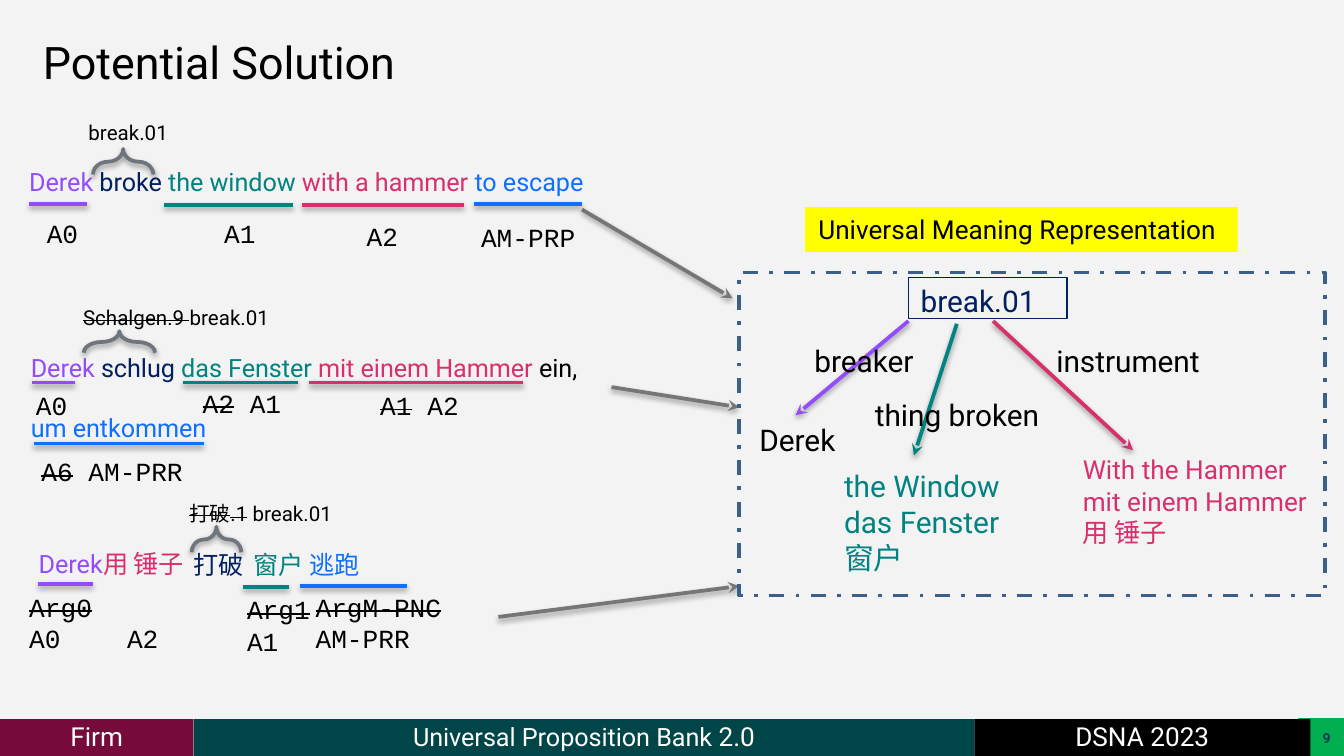
from lxml import etree
from pptx import Presentation
from pptx.dml.color import RGBColor
from pptx.enum import dml, shapes, text
from pptx.oxml.ns import qn
from pptx.util import Pt

HUES = dict(back="F3F3F3", black="000000", white="FFFFFF", navy="002060",
            violet="924CFC", teal="008381", pink="D7306D", blue="0F6FFF",
            gray="767676", brace="6E757C", frame="3A5F8B", yellow="FFFF00",
            green="00B050", wine="760A3A", deep="004548", ink="0F3A54")
WIDE, HIGH = 720, 405
FOOT = 385.2

# left, right, fill, runs
FOOTER = [
    (0, 103.7, "wine", [("Firm", 14)]),
    (103.7, 522, "deep", [("Universal Proposition Bank ", 13.5), ("2.0", 14)]),
    (522, 702, "black", [("DSNA 2023", 14)]),
]
# left, top, width, height, paragraphs of (text, colour, struck)
WORDS = [
    (8.6, 85.7, 335, 24, [[("Derek ", "violet"), ("broke ", "navy"),
     ("the window ", "teal"), ("with a hammer ", "pink"), ("to escape", "blue")]]),
    (9.4, 185, 326, 56, [[("Derek ", "violet"), ("schlug ", "navy"),
     ("das Fenster ", "teal"), ("mit einem Hammer ", "pink"), ("ein,", "black")],
     [("um entkommen", "blue")]]),
    (13.7, 290.2, 52, 24, [[("Derek", "violet")]]),
    (48.2, 290.2, 60, 24, [[("用 锤子", "pink")]]),
    (96.5, 290.9, 43, 24, [[("打破", "navy")]]),
    (128.9, 290.9, 106, 24, [[("窗户 ", "teal"), ("逃跑", "blue")]]),
]
SENSES = [
    (40.3, 60.5, 60, 21, [[("break.01", "black")]]),
    (37.4, 159.8, 123, 21, [[("Schalgen.9 ", "black", True), ("break.01", "black")]]),
    (94.3, 265, 94, 21, [[("打破.1", "black", True), (" break.01", "black")]]),
]
# left, top, width, old role, new role
ROLES = [
    (18, 113, 33, "", "A0"), (113, 113, 33, "", "A1"),
    (189.4, 114.5, 33, "", "A2"), (250.6, 115.2, 68, "", "AM-PRP"),
    (12.2, 205, 33, "", "A0"), (101.5, 203.8, 80, "A2", " A1"),
    (196.6, 205, 60, "A1", " A2"), (15.1, 240.5, 113, "A6", " AM-PRR"),
    (61, 330, 33, "", "A2"),
]
STACKS = [
    (8.6, 313.2, 50, "Arg0", "A0"), (125.3, 314.6, 50, "Arg1", "A1"),
    (162, 313.2, 94, "ArgM-PNC", "AM-PRR"),
]
# left, right, height on slide, colour
RULES = [
    (15.8, 46.8, 109.5, "violet"), (87.8, 157, 110, "teal"),
    (162, 248.4, 110, "pink"), (254.2, 311.8, 109.5, "blue"),
    (17.3, 40.3, 205, "violet"), (97.9, 159.8, 205, "teal"),
    (165.6, 280, 205, "pink"), (18, 109.4, 237.6, "blue"),
    (20.2, 49.7, 313, "violet"), (130.3, 154.8, 314.6, "teal"),
    (160.6, 218.2, 314, "blue"),
]
# centre x, centre y, span, depth
BRACES = [(66, 86.6, 32.4, 13.7), (64, 183.2, 38.2, 11.5), (116, 289, 26.6, 13.7)]
ARROWS = [
    (486.7, 172, 426.2, 222.5, "violet"), (512.6, 173.5, 489.6, 244, "teal"),
    (532, 172, 607, 241.2, "pink"), (311.8, 112.3, 392.4, 159.8, "gray"),
    (327.6, 207.4, 396, 218.2, "gray"), (267, 330.5, 396, 314, "gray"),
]
# left, top, width, size, colour, lines
GRAPH = [
    (400.3, 223.2, 62, 16, "black", ["Derek"]),
    (429.8, 180.7, 72, 16, "black", ["breaker"]),
    (462.2, 209.5, 108, 16, "black", ["thing broken"]),
    (559.4, 180.7, 121, 16, "black", ["instrument"]),
    (445.7, 247.7, 116, 16, "teal", ["the Window", "das Fenster", "窗户"]),
    (573, 239.5, 138, 14, "pink", ["With the Hammer", "mit einem Hammer", "用 锤子"]),
]

deck = Presentation()
deck.slide_width, deck.slide_height = Pt(WIDE), Pt(HIGH)
page = deck.slides.add_slide(deck.slide_layouts[6])
KIND = shapes.MSO_SHAPE


def hue(name):
    return RGBColor.from_string(HUES[name])


page.background.fill.solid()
page.background.fill.fore_color.rgb = hue("back")


def shade(item, soft=True):
    """Set the effect list: a soft drop shadow or none."""
    props = item._element.spPr
    for old in props.findall(qn("a:effectLst")):
        props.remove(old)
    fx = etree.SubElement(props, qn("a:effectLst"))
    if soft:
        drop = etree.SubElement(fx, qn("a:outerShdw"), blurRad=str(Pt(3.1)),
                                dist=str(Pt(1.6)), dir="5400000", rotWithShape="0")
        tint = etree.SubElement(drop, qn("a:srgbClr"), val=HUES["black"])
        etree.SubElement(tint, qn("a:alpha"), val="38000")


def box(x, y, w, h, fill=None, line=None, wide=0.75, kind=KIND.RECTANGLE):
    item = page.shapes.add_shape(kind, Pt(x), Pt(y), Pt(w), Pt(h))
    item.shadow.inherit = False
    if fill:
        item.fill.solid()
        item.fill.fore_color.rgb = hue(fill)
    else:
        item.fill.background()
    if line:
        item.line.color.rgb = hue(line)
        item.line.width = Pt(wide)
    else:
        item.line.fill.background()
    return item


def link(x1, y1, x2, y2, tone, head=False):
    item = page.shapes.add_connector(shapes.MSO_CONNECTOR.STRAIGHT,
                                     Pt(x1), Pt(y1), Pt(x2), Pt(y2))
    item.line.color.rgb = hue(tone)
    item.line.width = Pt(2)
    if head:
        etree.SubElement(item.line._get_or_add_ln(), qn("a:tailEnd"), type="stealth")
    shade(item)


def write(item, paras, size=14, font="Roboto", bold=False, align="LEFT",
          mid=False, pad=(7.2, 3.6), gap=0, lead=None):
    """Fill a shape with paragraphs of (text, colour, struck, size) runs."""
    body = item.text_frame
    body.word_wrap = True
    body.margin_left = body.margin_right = Pt(pad[0])
    body.margin_top = body.margin_bottom = Pt(pad[1])
    body.vertical_anchor = text.MSO_ANCHOR.MIDDLE if mid else text.MSO_ANCHOR.TOP
    for i, runs in enumerate(paras):
        para = body.add_paragraph() if i else body.paragraphs[0]
        para.alignment = text.PP_ALIGN[align]
        if i and gap:
            para.space_before = Pt(gap)
        if lead:
            para.line_spacing = lead
        for words, tone, *rest in runs:
            run = para.add_run()
            run.text = words
            run.font.name, run.font.bold = font, bold
            run.font.size = Pt(rest[1] if len(rest) > 1 else size)
            run.font.color.rgb = hue(tone)
            if rest and rest[0]:
                run._r.get_or_add_rPr().set("strike", "sngStrike")


def note(x, y, w, h, paras, **form):
    write(page.shapes.add_textbox(Pt(x), Pt(y), Pt(w), Pt(h)), paras, **form)


# Footer and title
write(box(695.5, FOOT, WIDE - 695.5, HIGH - FOOT, "green", "green"),
      [[("9", "ink")]], size=7.5, bold=True, align="RIGHT", mid=True)
for left, right, fill, runs in FOOTER:
    write(box(left, FOOT, right - left, HIGH - FOOT, fill),
          [[(words, "white", False, size) for words, size in runs]],
          align="CENTER", mid=True, pad=(2.9, 2.9), lead=0.9)
note(23, 21.6, 395, 63, [[("Potential Solution", "black")]],
     size=24, pad=(0, 0), lead=0.9)

# Meaning graph
write(box(431.3, 111, 231.8, 24, "yellow"),
      [[("Universal Meaning Representation", "black")]])
write(box(486.7, 148.5, 85, 22.3, line="navy"), [[("break.01", "navy")]],
      size=16, pad=(6.5, 2.9))
for arrow in ARROWS:
    link(*arrow, head=True)
frame = box(396, 146, 314, 173, line="frame", wide=2)
frame.line.dash_style = dml.MSO_LINE.DASH_DOT
for x, y, w, size, tone, lines in GRAPH:
    note(x, y, w, 22 * len(lines), [[(line, tone)] for line in lines],
         size=size, pad=(6.5, 2.9) if size == 16 else (7.2, 3.6))

# Sentences
for place in WORDS:
    note(*place, size=13.5, gap=16)
for x1, x2, y, tone in RULES:
    link(x1, y, x2, y, tone)
for x, y, span, deep in BRACES:
    brace = box(x - deep / 2, y - span / 2, deep, span, line="brace", wide=2,
                kind=KIND.RIGHT_BRACE)
    brace.adjustments[0], brace.adjustments[1] = 1.18, 0.5
    brace.rotation = 270
    shade(brace)
for place in SENSES:
    note(*place, size=11)
for x, y, w, old, new in ROLES:
    runs = [(old, "black", True)] if old else []
    note(x, y, w, 24, [runs + [(new, "black")]], font="Courier New")
for x, y, w, old, new in STACKS:
    note(x, y, w, 41, [[(old, "black", True)], [(new, "black")]], font="Courier New")

deck.save("out.pptx")
